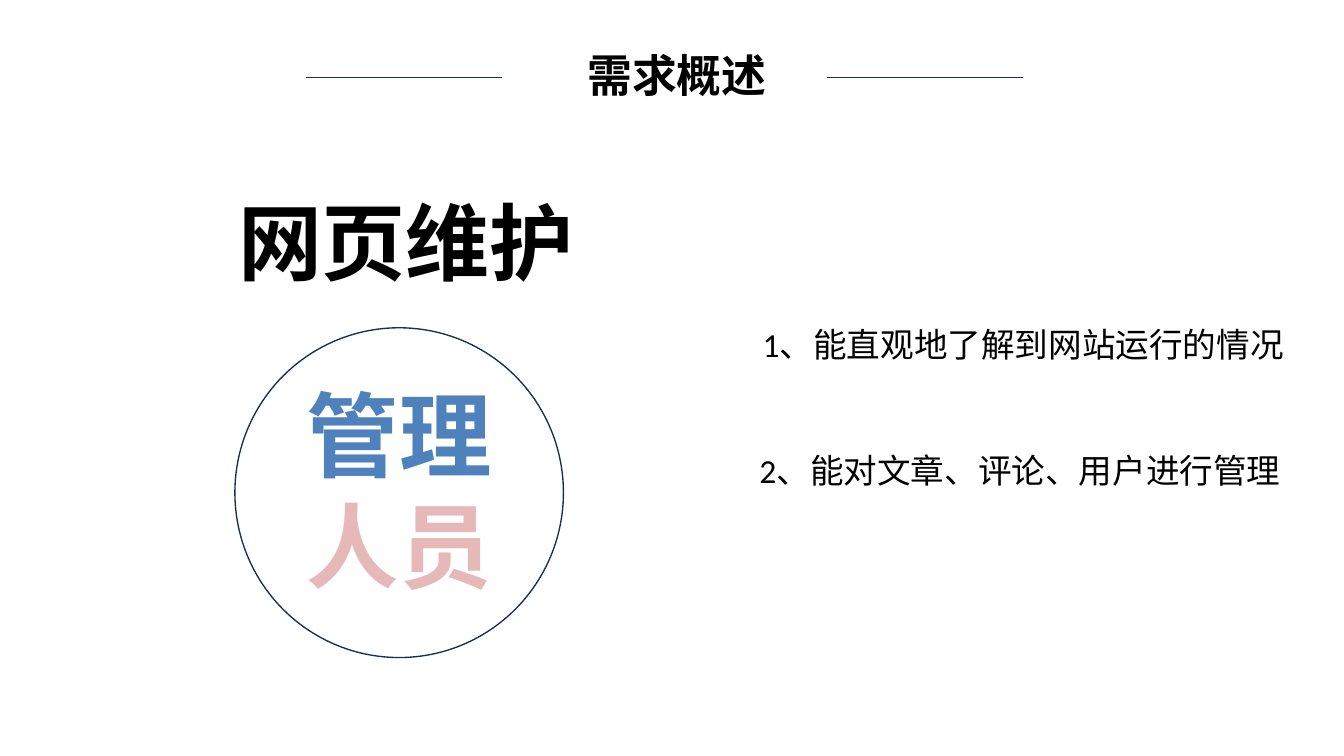
"""Build the requirements overview slide about web page maintenance."""
import pptx
import pptx.dml.color
import pptx.enum.shapes
import pptx.enum.text
import pptx.oxml.ns
import pptx.util
from lxml import etree
from pptx.util import Cm, Pt

NAVY = "17314D"
BLACK = "000000"
CHINESE_FONT = "Noto Sans CJK SC"


def rgb(hex_colour):
    """Return the colour for a hex string."""
    return pptx.dml.color.RGBColor.from_string(hex_colour)


def add_child(parent, tag, **attributes):
    """Append a DrawingML element to a parent and return it."""
    return etree.SubElement(parent, pptx.oxml.ns.qn(tag), attributes)


def add_rule(slide, left, top, length):
    """Draw a thin horizontal rule."""
    rule = slide.shapes.add_connector(
        pptx.enum.shapes.MSO_CONNECTOR.STRAIGHT,
        Cm(left), Cm(top), Cm(left + length), Cm(top))
    rule.line.color.rgb = rgb(NAVY)
    rule.line.width = Pt(0.48)
    add_child(rule._element.spPr, "a:effectLst")


def add_ring(slide, left, top, width, height):
    """Draw the unfilled circle around the role."""
    ring = slide.shapes.add_shape(
        pptx.enum.shapes.MSO_SHAPE.OVAL, Cm(left), Cm(top), Cm(width), Cm(height))
    ring.shadow.inherit = False
    ring.fill.background()
    ring.line.color.rgb = rgb(NAVY)
    ring.line.width = Pt(0.96)


def add_text(slide, box, lines, size, bold=False, font="Calibri", centred=True):
    """Add a wrapped text box from (text, colour) lines and return its frame."""
    frame = slide.shapes.add_textbox(*map(Cm, box)).text_frame
    frame.word_wrap = True
    frame.auto_size = pptx.enum.text.MSO_AUTO_SIZE.SHAPE_TO_FIT_TEXT
    frame.text = "\n".join(text for text, _ in lines)
    align = pptx.enum.text.PP_ALIGN
    for paragraph, (_, colour) in zip(frame.paragraphs, lines):
        paragraph.alignment = align.CENTER if centred else align.LEFT
        run = paragraph.runs[0]
        run.font.size = Pt(size)
        run.font.bold = bold
        run.font.name = font
        run.font.color.rgb = rgb(colour)
        add_child(run.font._element, "a:ea", typeface=CHINESE_FONT)
    return frame


def add_heading(slide, box, text):
    """Add the large heading with tight margins and tracking."""
    frame = add_text(slide, box, [(text, BLACK)], 60, True, CHINESE_FONT, False)
    frame.margin_left = frame.margin_right = frame.margin_bottom = 0
    frame.margin_top = Cm(0.03)
    paragraph = frame.paragraphs[0]
    paragraph.space_before = Pt(1)
    paragraph._p.get_or_add_pPr().set("marL", str(Cm(0.03)))
    paragraph.runs[0].font._element.set("spc", "-10")


def outline_text(paragraph, colour, width):
    """Give the letters of a paragraph a coloured outline."""
    properties = paragraph.runs[0].font._element
    outline = add_child(properties, "a:ln", w=str(Pt(width)))
    fill = add_child(outline, "a:solidFill")
    add_child(fill, "a:srgbClr", val=colour)
    properties.insert(0, outline)


def main():
    """Build and save the slide."""
    deck = pptx.Presentation()
    deck.slide_width, deck.slide_height = Cm(33.87), Cm(19.05)
    slide = deck.slides.add_slide(deck.slide_layouts[6])

    for left in (20.83, 7.7):
        add_rule(slide, left, 1.96, 4.95)
    add_text(slide, (12.93, 1.07, 8.26, 1.63), [("需求概述", BLACK)], 32, True)
    add_heading(slide, (5.97, 4.78, 8.53, 2.59), "网页维护")

    add_ring(slide, 5.92, 8.26, 8.28, 8.31)
    role = add_text(slide, (7.24, 9.4, 5.64, 5.89),
                    [("管理", "4F81BD"), ("人员", "E6B9B8")], 66, True)
    outlines = (("4F81BD", 0.75), ("E46C0A", 1.75))
    for paragraph, (colour, width) in zip(role.paragraphs, outlines):
        outline_text(paragraph, colour, width)

    requirements = (
        (18.62, 8.05, "1、能直观地了解到网站运行的情况"),
        (18.54, 11.2, "2、能对文章、评论、用户进行管理"),
    )
    for left, top, requirement in requirements:
        add_text(slide, (left, top, 14.33, 1.27), [(requirement, BLACK)], 24)

    deck.save("out.pptx")


if __name__ == "__main__":
    main()
